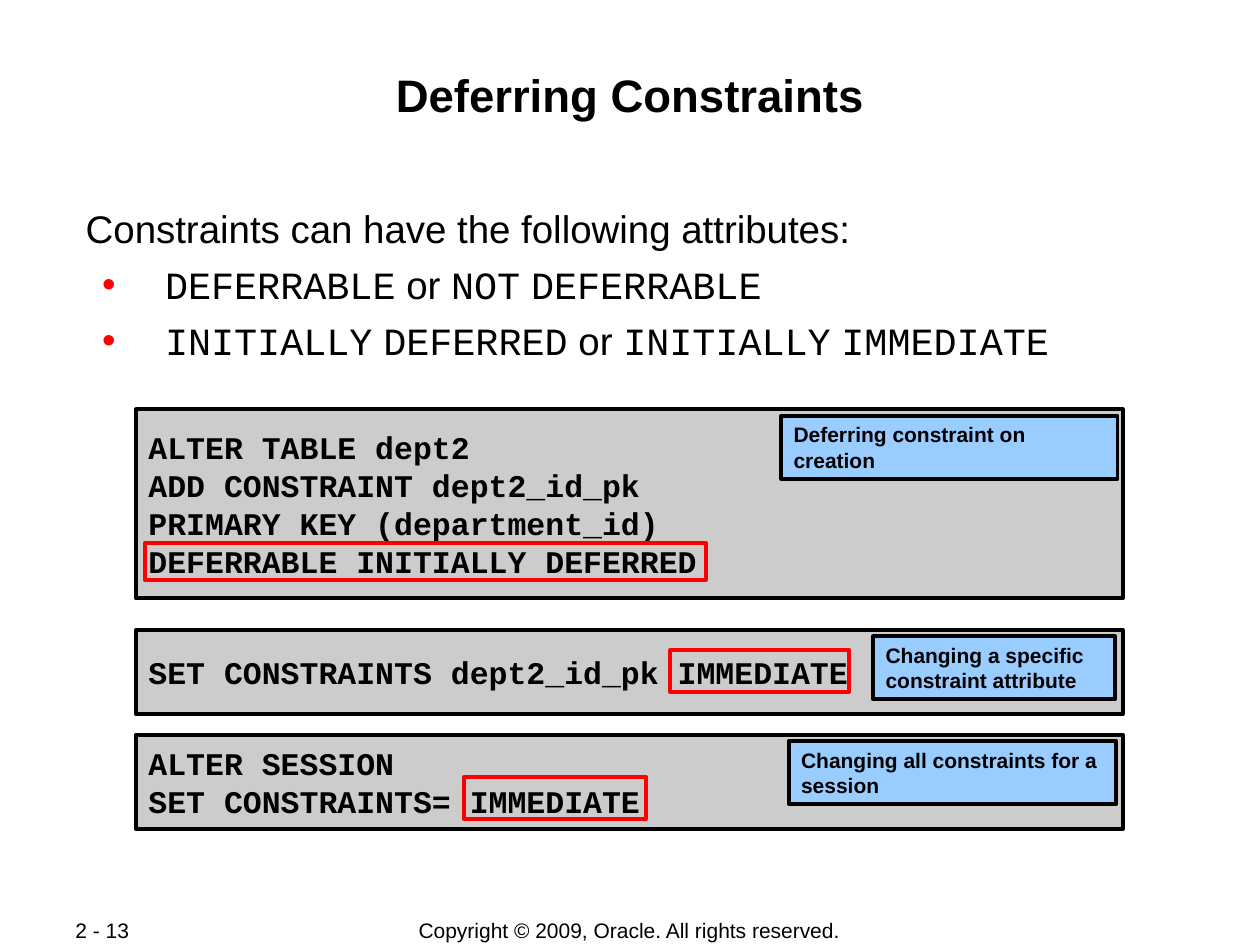
from lxml.etree import SubElement
from pptx import Presentation
from pptx.dml.color import RGBColor as RGB
from pptx.enum.shapes import MSO_SHAPE as Geo
from pptx.enum.text import MSO_ANCHOR as Anchor, MSO_AUTO_SIZE as Fit, PP_ALIGN as Align
from pptx.oxml.ns import qn
from pptx.util import Inches, Pt

TITLE = "Deferring Constraints"
LEAD = "Constraints can have the following attributes:"
# Words in capitals are keywords and are set in the code font.
ITEMS = ["DEFERRABLE or NOT DEFERRABLE",
         "INITIALLY DEFERRED or INITIALLY IMMEDIATE"]

# Code panels: top, height, code, label text, label box, red frame
PANELS = [
    (3.25, 1.5,
     "ALTER TABLE dept2\nADD CONSTRAINT dept2_id_pk\n"
     "PRIMARY KEY (department_id)\nDEFERRABLE INITIALLY DEFERRED",
     "Deferring constraint on creation",
     (6.2, 3.3, 2.67, 0.5), (1.15, 4.31, 4.45, 0.29)),
    (5, 0.67, "SET CONSTRAINTS dept2_id_pk IMMEDIATE",
     "Changing a specific constraint attribute",
     (6.93, 5.05, 1.92, 0.5), (5.32, 5.16, 1.42, 0.33)),
    (5.83, 0.75, "ALTER SESSION\vSET CONSTRAINTS= IMMEDIATE",
     "Changing all constraints for a session",
     (6.26, 5.88, 2.6, 0.5), (3.68, 6.17, 1.45, 0.33)),
]
PANEL_X, PANEL_W = 1.08, 7.83

FOOTERS = [
    ("Copyright © 2009, Oracle. All rights reserved.",
     (2.75, 7.28, 4.49, 0.21), Align.CENTER),
    ("2 - 13", (0.5, 7.28, 1.06, 0.2), Align.LEFT),
]


class Theme:
    ink, panel, label, red = "000000", "CCCCCC", "99CCFF", "FF0000"
    sans, mono = "Arial", "Courier New"
    line = Pt(2.25)
    title = dict(name=sans, size=Pt(26), bold=True)
    body = dict(name=sans, size=Pt(22), bold=False)
    word = dict(name=mono, size=Pt(22), bold=False)
    code = dict(name=mono, size=Pt(18), bold=True)
    note = dict(name=sans, size=Pt(12), bold=True)
    foot = dict(name=sans, size=Pt(12), bold=False)


def put(obj, vals):
    for key, val in vals.items():
        setattr(obj, key, val)


def style(run, font):
    put(run.font, font)
    run.font.color.rgb = RGB.from_string(Theme.ink)


def write(shape, text, font, align=Align.LEFT, **frame):
    tf = shape.text_frame
    tf.text = text
    put(tf, frame)
    for para in tf.paragraphs:
        para.alignment = align
        for run in para.runs:
            style(run, font)


def place(shape, box):
    put(shape, dict(zip(("left", "top", "width", "height"), map(Inches, box))))


def inset(tf):
    put(tf, dict(margin_left=Inches(0.01), margin_right=Inches(0.01),
                 margin_top=Inches(0.05), margin_bottom=Inches(0.01),
                 vertical_anchor=Anchor.TOP, auto_size=Fit.NONE, word_wrap=True))


def rect(slide, box, fill, line):
    shape = slide.shapes.add_shape(Geo.RECTANGLE, *map(Inches, box))
    shape.shadow.inherit = False
    if fill:
        shape.fill.solid()
        shape.fill.fore_color.rgb = RGB.from_string(fill)
    else:
        shape.fill.background()
    shape.line.color.rgb = RGB.from_string(line)
    shape.line.width = Theme.line
    return shape


def bullet(para):
    props = para._p.get_or_add_pPr()
    props.set("marL", str(Inches(0.63)))
    props.set("indent", str(Inches(-0.5)))
    color = SubElement(props, qn("a:buClr"))
    SubElement(color, qn("a:srgbClr"), val=Theme.red)
    SubElement(props, qn("a:buFont"), typeface=Theme.sans)
    SubElement(props, qn("a:buChar"), char="•")


def add_body(shape):
    place(shape, (0.67, 1.58, 8.66, 1.28))
    tf = shape.text_frame
    inset(tf)
    write(shape, LEAD, Theme.body)
    lead = tf.paragraphs[0]
    lead.space_before = Pt(0)
    props = lead._p.get_or_add_pPr()
    put_none = {"marL": "0", "indent": "0"}
    for key, val in put_none.items():
        props.set(key, val)
    SubElement(props, qn("a:buNone"))
    for item in ITEMS:
        para = tf.add_paragraph()
        put(para, dict(level=1, alignment=Align.LEFT, space_before=Pt(5.5)))
        bullet(para)
        for i, word in enumerate(item.split()):
            parts = [" ", word] if i else [word]
            for part in parts:
                run = para.add_run()
                run.text = part
                style(run, Theme.word if part.isupper() else Theme.body)


def build():
    deck = Presentation()
    deck.slide_width, deck.slide_height = Inches(10), Inches(7.5)
    slide = deck.slides.add_slide(deck.slide_layouts[1])

    for text, box, align in FOOTERS:
        foot = slide.shapes.add_textbox(*map(Inches, box))
        write(foot, text, Theme.foot, align, word_wrap=False,
              vertical_anchor=Anchor.MIDDLE)

    title = slide.shapes.title
    place(title, (0.67, 0.48, 8.66, 0.96))
    inset(title.text_frame)
    write(title, TITLE, Theme.title, Align.CENTER)
    add_body(slide.placeholders[1])

    for top, high, code, note, spot, frame in PANELS:
        panel = rect(slide, (PANEL_X, top, PANEL_W, high), Theme.panel, Theme.ink)
        write(panel, code, Theme.code, word_wrap=False,
              vertical_anchor=Anchor.MIDDLE)
        rect(slide, frame, None, Theme.red)
        label = rect(slide, spot, Theme.label, Theme.ink)
        write(label, note, Theme.note, word_wrap=True,
              vertical_anchor=Anchor.TOP, auto_size=Fit.SHAPE_TO_FIT_TEXT)

    deck.save("out.pptx")


if __name__ == "__main__":
    build()
